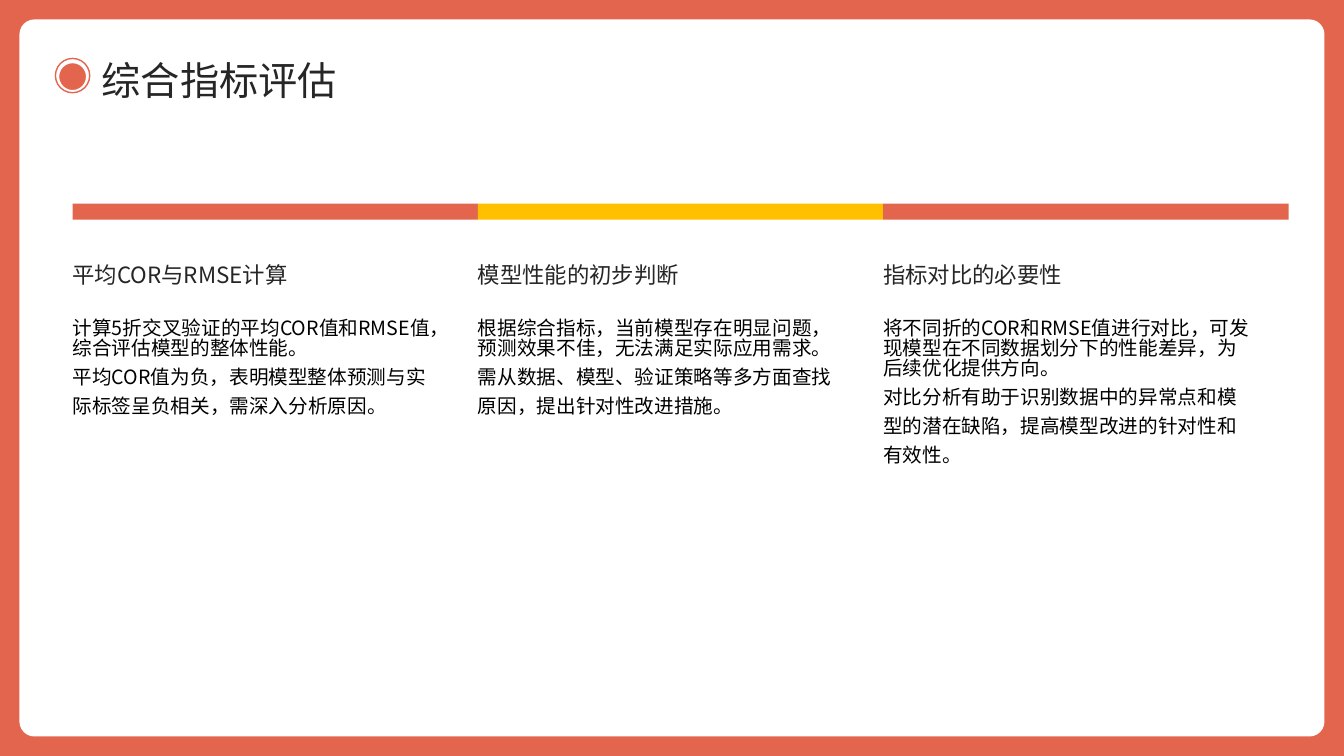
from dataclasses import dataclass

from lxml import etree
from pptx import Presentation
from pptx.dml.color import RGBColor
from pptx.enum.shapes import MSO_SHAPE
from pptx.enum.text import MSO_ANCHOR, MSO_AUTO_SIZE, PP_ALIGN
from pptx.oxml.ns import qn
from pptx.util import Inches, Pt

RECTANGLE = MSO_SHAPE.RECTANGLE
ROUNDED_RECTANGLE = MSO_SHAPE.ROUNDED_RECTANGLE
OVAL = MSO_SHAPE.OVAL
TOP = MSO_ANCHOR.TOP
MIDDLE = MSO_ANCHOR.MIDDLE
LEFT = PP_ALIGN.LEFT
NO_AUTOFIT = MSO_AUTO_SIZE.NONE

FONT = "Noto Sans CJK SC"
COLORS = {
    "coral": "E4654E",
    "amber": "FFC000",
    "white": "FFFFFF",
    "heading": "262626",
    "body": "000000",
}
SLIDE_WIDTH, SLIDE_HEIGHT = 13.33, 7.5
FRAME_MARGIN = 0.2
COLUMN_LEFT, COLUMN_WIDTH, TEXT_WIDTH = 0.72, 4.02, 3.63
BODY_SPACINGS = (0.85, 1.23)


@dataclass(frozen=True)
class Box:
    left: float
    top: float
    width: float
    height: float

    def lengths(self):
        return [Inches(value) for value in (self.left, self.top, self.width, self.height)]


@dataclass(frozen=True)
class Column:
    color: str
    heading: str
    body: tuple[str, str]


COLUMNS = (
    Column("coral", "平均COR与RMSE计算", (
        "计算5折交叉验证的平均COR值和RMSE值，综合评估模型的整体性能。",
        "平均COR值为负，表明模型整体预测与实际标签呈负相关，需深入分析原因。",
    )),
    Column("amber", "模型性能的初步判断", (
        "根据综合指标，当前模型存在明显问题，预测效果不佳，无法满足实际应用需求。",
        "需从数据、模型、验证策略等多方面查找原因，提出针对性改进措施。",
    )),
    Column("coral", "指标对比的必要性", (
        "将不同折的COR和RMSE值进行对比，可发现模型在不同数据划分下的性能差异，为后续优化提供方向。",
        "对比分析有助于识别数据中的异常点和模型的潜在缺陷，提高模型改进的针对性和有效性。",
    )),
)


def rgb(name: str) -> RGBColor:
    return RGBColor.from_string(COLORS[name])


def add_block(shapes, kind, box: Box, fill: str, line: str | None = None):
    shape = shapes.add_shape(kind, *box.lengths())
    shape.shadow.inherit = False
    shape.fill.solid()
    shape.fill.fore_color.rgb = rgb(fill)
    if line:
        shape.line.color.rgb = rgb(line)
        shape.line.width = Pt(1)
    else:
        shape.line.fill.background()
    return shape


def write_text(shape, texts: tuple[str, ...], *, size: int, color: str,
               spacings: tuple[float, ...], anchor=MIDDLE) -> None:
    frame = shape.text_frame
    frame.word_wrap = True
    frame.auto_size = NO_AUTOFIT
    frame.vertical_anchor = anchor
    frame.margin_left = frame.margin_top = frame.margin_right = frame.margin_bottom = 0
    for index, (text, spacing) in enumerate(zip(texts, spacings)):
        paragraph = frame.add_paragraph() if index else frame.paragraphs[0]
        paragraph.alignment = LEFT
        paragraph.line_spacing = spacing
        paragraph.space_before = paragraph.space_after = Pt(0)
        run = paragraph.add_run()
        run.text = text
        run.font.size = Pt(size)
        run.font.color.rgb = rgb(color)
        run.font.name = FONT
        east_asian = etree.SubElement(run._r.get_or_add_rPr(), qn("a:ea"))
        east_asian.set("typeface", FONT)


def add_frame(slide) -> None:
    add_block(slide.shapes, RECTANGLE, Box(0, 0, SLIDE_WIDTH, SLIDE_HEIGHT), "coral")
    panel = add_block(
        slide.shapes, ROUNDED_RECTANGLE,
        Box(FRAME_MARGIN, FRAME_MARGIN,
            SLIDE_WIDTH - 2 * FRAME_MARGIN, SLIDE_HEIGHT - 2 * FRAME_MARGIN),
        "white", "white")
    panel.adjustments[0] = 0.02


def add_columns(slide) -> None:
    lefts = [COLUMN_LEFT + index * COLUMN_WIDTH for index in range(len(COLUMNS))]
    for left, column in zip(lefts, COLUMNS):
        add_block(slide.shapes, RECTANGLE, Box(left, 2.02, COLUMN_WIDTH, 0.16), column.color)
    for left, column in zip(lefts, COLUMNS):
        heading = slide.shapes.add_textbox(*Box(left, 2.3, TEXT_WIDTH, 0.79).lengths())
        write_text(heading, (column.heading,), size=16, color="heading", spacings=(1.2,))
        body = slide.shapes.add_textbox(*Box(left, 3.17, TEXT_WIDTH, 2.76).lengths())
        write_text(body, column.body, size=14, color="body",
                   spacings=BODY_SPACINGS, anchor=TOP)


def add_title(slide) -> None:
    title = slide.shapes.title
    title.left, title.top, title.width, title.height = Box(1.01, 0.51, 11.88, 0.51).lengths()
    write_text(title, ("综合指标评估",), size=28, color="heading", spacings=(1.1,))
    slide.shapes.element.append(title.element)
    marker = slide.shapes.add_group_shape()
    add_block(marker.shapes, OVAL, Box(0.55, 0.58, 0.34, 0.34), "white", "coral")
    add_block(marker.shapes, OVAL, Box(0.58, 0.62, 0.28, 0.28), "coral", "white")


def main() -> None:
    presentation = Presentation()
    presentation.slide_width = Inches(SLIDE_WIDTH)
    presentation.slide_height = Inches(SLIDE_HEIGHT)
    slide = presentation.slides.add_slide(presentation.slide_layouts[5])
    add_frame(slide)
    add_columns(slide)
    add_title(slide)
    presentation.save("out.pptx")


if __name__ == "__main__":
    main()
